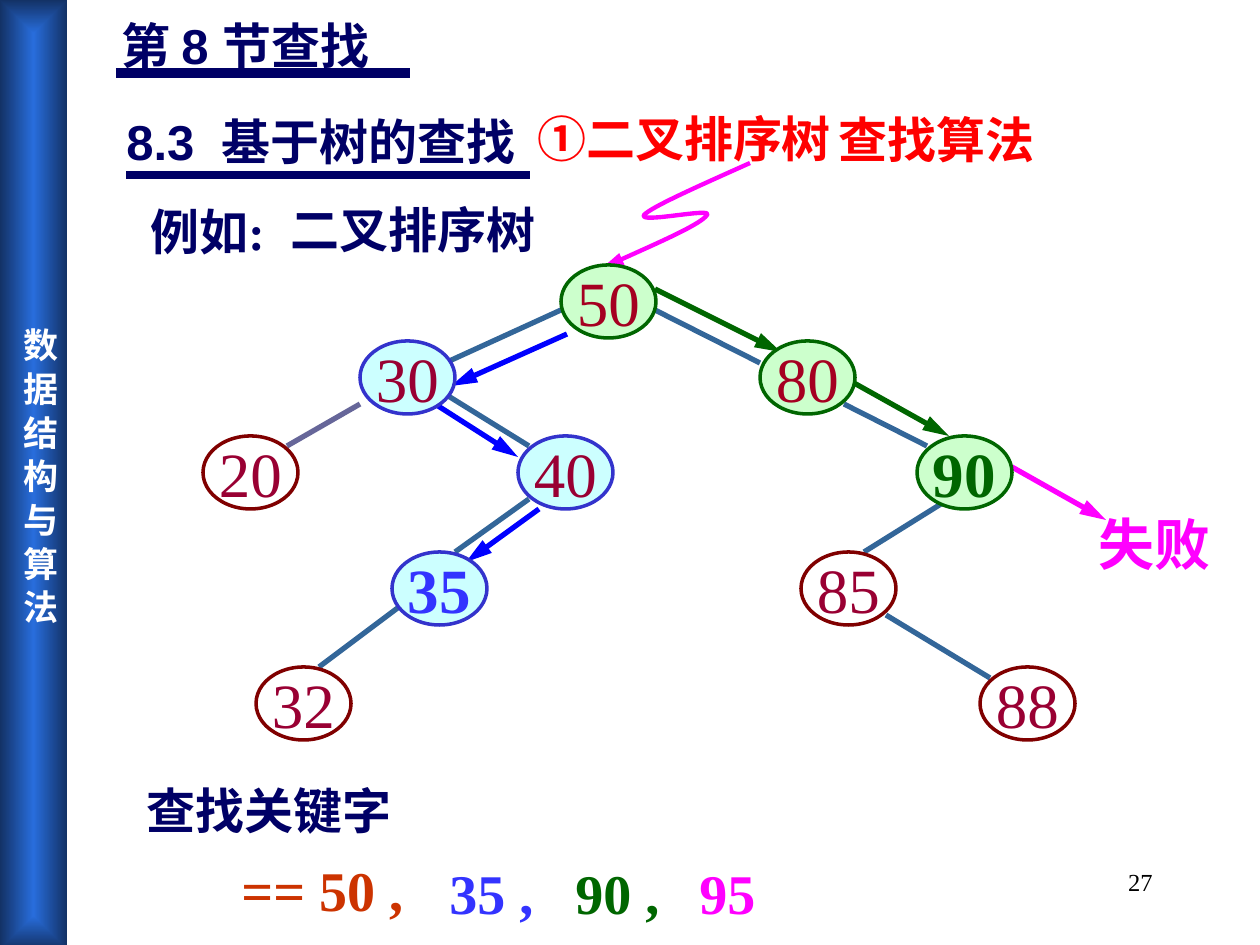
from lxml.etree import SubElement
from pptx import Presentation
from pptx.dml.color import RGBColor
from pptx.enum.shapes import MSO_CONNECTOR, MSO_SHAPE
from pptx.enum.text import MSO_ANCHOR, MSO_AUTO_SIZE, PP_ALIGN
from pptx.oxml.ns import qn
from pptx.util import Emu, Pt

PX = 914400 / 126
WHITE = RGBColor(0xFF, 0xFF, 0xFF)
BLACK = RGBColor(0, 0, 0)
NAVY = RGBColor(0, 0, 0x66)
RED = RGBColor(0xFF, 0, 0)
RUST = RGBColor(0xCC, 0x33, 0)
CRIMSON = RGBColor(0x99, 0, 0x33)
WINE = RGBColor(0xA5, 0, 0x21)
MAROON = RGBColor(0x80, 0, 0)
INDIGO = RGBColor(0x33, 0x33, 0xFF)
BLUE = RGBColor(0, 0, 0xFF)
BLUE_RIM = RGBColor(0x33, 0x33, 0xCC)
CYAN = RGBColor(0xCC, 0xFF, 0xFF)
GREEN = RGBColor(0, 0x66, 0)
MINT = RGBColor(0xCC, 0xFF, 0xCC)
MAGENTA = RGBColor(0xFF, 0, 0xFF)
STEEL = RGBColor(0x33, 0x66, 0x99)
SLATE = RGBColor(0x66, 0x66, 0x99)
BAR_IN = RGBColor(0x28, 0x6D, 0xDC)
BAR_OUT = RGBColor(0x13, 0x32, 0x66)

ARIAL, TIMES, CJK = "Arial", "Times New Roman", "Noto Sans CJK SC"

SIDEBAR = "数 据 结 构 与 算 法"
TEXTS = [
    ("第 8 节查找", (109, 9, 321, 72), 28, ARIAL, NAVY),
    ("例如:", (138, 195, 160, 72), 28, TIMES, NAVY),
    ("二叉排序树", (278, 193, 343, 72), 28, TIMES, NAVY),
    ("查找关键字", (134, 774, 336, 72), 28, TIMES, NAVY),
    ("== 50 ,", (229, 849, 208, 81), 32, TIMES, RUST),
    ("35 ,", (437, 852, 122, 81), 32, TIMES, INDIGO),
    ("90 ,", (563, 852, 122, 81), 32, TIMES, GREEN),
    ("95", (687, 852, 90, 81), 32, TIMES, MAGENTA),
    ("①二叉排序树", (525, 102, 389, 72), 28, CJK, RED),
    ("查找算法", (826, 103, 270, 72), 28, CJK, RED),
    ("失败", (1086, 503, 174, 81), 32, TIMES, MAGENTA),
]
SECTION = [("8.3  ", ARIAL), ("基于树的查找", CJK)]

RULES = [((116, 73, 410, 73), 6), ((126, 175, 530, 175), 4.25)]
EDGES = [
    (561, 310, 445, 363), (655, 310, 760, 363), (445, 394, 529, 446),
    (529, 499, 455, 552), (844, 404, 927, 446), (949, 499, 864, 552),
    (886, 615, 990, 678), (403, 604, 319, 667),
]
LEFT_EDGE = (360, 404, 287, 446)
ARROWS = {
    BLUE: [(567, 334, 451, 386), (435, 404, 518, 457), (539, 509, 466, 562)],
    GREEN: [(655, 289, 781, 352), (854, 383, 949, 436)],
    MAGENTA: [(1012, 467, 1106, 520)],
}
CURVE = [
    (750, 163), (701, 185), (651, 207), (644, 215), (638, 224),
    (714, 207), (707, 215), (701, 224), (651, 246), (602, 268),
]

NODE_W, NODE_H = 95, 73
LEVEL_TOP = [265, 341, 436, 552, 667]
PLAIN, LEFT_PATH, RIGHT_PATH = (None, MAROON), (CYAN, BLUE_RIM), (MINT, GREEN)
NODES = [
    ("20", 203, 2, PLAIN, CRIMSON, False),
    ("85", 801, 3, PLAIN, CRIMSON, False),
    ("88", 980, 4, PLAIN, CRIMSON, False),
    ("32", 256, 4, PLAIN, CRIMSON, False),
    ("30", 360, 1, LEFT_PATH, CRIMSON, False),
    ("40", 518, 2, LEFT_PATH, CRIMSON, False),
    ("35", 392, 3, LEFT_PATH, INDIGO, True),
    ("50", 561, 0, RIGHT_PATH, WINE, False),
    ("80", 760, 1, RIGHT_PATH, WINE, False),
    ("90", 917, 2, RIGHT_PATH, GREEN, True),
]


def px(*values):
    return [Emu(round(v * PX)) for v in values]


def style(r, size, font, color, bold=True):
    r.font.size, r.font.name, r.font.bold = Pt(size), font, bold
    r.font.color.rgb = color
    SubElement(r.font._element, qn("a:ea"), typeface=CJK)


def add_text(s, text, box, size, font, color, bold=True):
    tf = s.shapes.add_textbox(*px(*box)).text_frame
    tf.word_wrap = True
    tf.auto_size = MSO_AUTO_SIZE.SHAPE_TO_FIT_TEXT
    p = tf.paragraphs[0]
    p.text = text
    style(p.runs[0], size, font, color, bold)
    return p


def add_head(line):
    SubElement(line._get_or_add_ln(), qn("a:tailEnd"), type="triangle", w="med", len="lg")


def add_line(s, ends, color, width, arrow=False):
    c = s.shapes.add_connector(MSO_CONNECTOR.STRAIGHT, *px(*ends))
    c.line.color.rgb, c.line.width = color, Pt(width)
    if arrow:
        add_head(c.line)
    SubElement(c._element.spPr, qn("a:effectLst"))


def add_curve(s, points):
    fb = s.shapes.build_freeform(*points[0], scale=PX)
    fb.add_line_segments(points[1:], close=False)
    sp = fb.convert_to_shape()
    sp.shadow.inherit = False
    sp.fill.background()
    sp.line.color.rgb, sp.line.width = MAGENTA, Pt(2.5)
    add_head(sp.line)
    route = next(sp._element.iter(qn("a:path")))
    steps = route.findall(qn("a:lnTo"))
    for i in range(0, len(steps), 3):
        bezier = SubElement(route, qn("a:cubicBezTo"))
        for step in steps[i:i + 3]:
            bezier.append(step[0])
            route.remove(step)


def add_node(s, key, left, level, look, color, bold):
    fill, rim = look
    sp = s.shapes.add_shape(MSO_SHAPE.OVAL, *px(left, LEVEL_TOP[level], NODE_W, NODE_H))
    sp.shadow.inherit = False
    if fill is None:
        sp.fill.background()
    else:
        sp.fill.solid()
        sp.fill.fore_color.rgb = fill
    sp.line.color.rgb, sp.line.width = rim, Pt(2)
    tf = sp.text_frame
    tf.word_wrap, tf.vertical_anchor = False, MSO_ANCHOR.MIDDLE
    p = tf.paragraphs[0]
    p.text, p.alignment = key, PP_ALIGN.CENTER
    style(p.runs[0], 36, TIMES, color, bold)


def add_sidebar(s):
    sp = s.shapes.add_shape(MSO_SHAPE.RECTANGLE, *px(0, 0, 67, 949))
    sp.shadow.inherit = False
    sp.line.fill.background()
    sp.fill.gradient()
    for stop, color in zip(sp.fill.gradient_stops, (BAR_IN, BAR_OUT)):
        stop.color.rgb = color
    grad = sp._element.spPr.find(qn("a:gradFill"))
    grad.remove(grad.find(qn("a:lin")))
    focus = SubElement(grad, qn("a:path"), path="rect")
    SubElement(focus, qn("a:fillToRect"), l="50000", t="50000", r="50000", b="50000")
    tf = sp.text_frame
    tf.margin_left, tf.margin_right, tf.margin_top, tf.margin_bottom = px(6, 6, 328, 313)
    tf._txBody.bodyPr.set("vert", "eaVert")
    tf.vertical_anchor = MSO_ANCHOR.TOP
    p = tf.paragraphs[0]
    p.text, p.alignment = SIDEBAR, PP_ALIGN.CENTER
    style(p.runs[0], 20, CJK, WHITE)


def main():
    """Build the binary search tree lookup slide."""
    prs = Presentation()
    prs.slide_width, prs.slide_height = px(1260, 945)
    s = prs.slides.add_slide(prs.slide_layouts[6])
    add_sidebar(s)
    number = add_text(s, "27", (903, 861, 262, 63), 14, TIMES, BLACK, bold=False)
    number.alignment = PP_ALIGN.RIGHT
    for ends, width in RULES:
        add_line(s, ends, NAVY, width)
    (lead, font), (title, title_font) = SECTION
    p = add_text(s, lead, (114, 105, 456, 72), 28, font, NAVY)
    r = p.add_run()
    r.text = title
    style(r, 28, title_font, NAVY)
    for item in TEXTS:
        add_text(s, *item)
    for ends in EDGES:
        add_line(s, ends, STEEL, 3)
    add_line(s, LEFT_EDGE, SLATE, 3)
    add_curve(s, CURVE)
    for color, arrows in ARROWS.items():
        for ends in arrows:
            add_line(s, ends, color, 3, arrow=True)
    for node in NODES:
        add_node(s, *node)
    prs.save("out.pptx")


if __name__ == "__main__":
    main()
